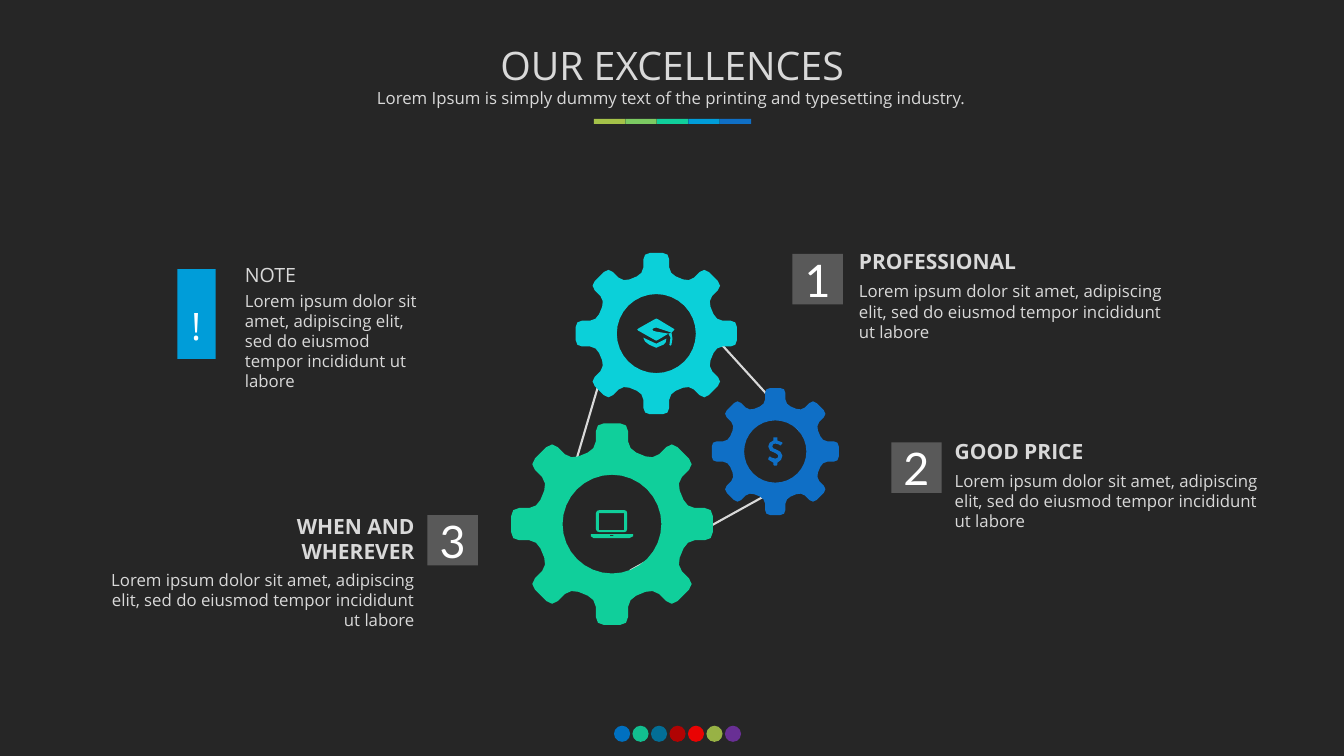
from dataclasses import dataclass
from math import cos, pi, sin

from lxml.etree import SubElement
from pptx import Presentation
from pptx.dml.color import RGBColor
from pptx.enum.shapes import MSO_CONNECTOR, MSO_SHAPE
from pptx.enum.text import MSO_ANCHOR, PP_ALIGN
from pptx.oxml.ns import qn
from pptx.util import Inches, Pt


@dataclass(frozen=True)
class Theme:
    background: RGBColor = RGBColor.from_string("262626")
    text: RGBColor = RGBColor.from_string("D9D9D9")
    white: RGBColor = RGBColor.from_string("FFFFFF")
    tile: RGBColor = RGBColor.from_string("595959")
    cyan: RGBColor = RGBColor.from_string("0BD0D9")
    blue: RGBColor = RGBColor.from_string("0F6FC6")
    green: RGBColor = RGBColor.from_string("10CF9B")
    sky: RGBColor = RGBColor.from_string("009DD9")
    bars: tuple = ("A5C249", "7CCA62", "10CF9B", "009DD9", "0F6FC6")
    dots: tuple = ("0070C0", "10CF9B", "0076A3", "C00000", "FF0000", "A5C249", "7030A0")
    font: str = "Open Sans"
    number_font: str = "Lato"
    title_size: int = 28
    heading_size: int = 15
    note_size: int = 14
    body_size: int = 12
    mark_size: int = 27
    number_size: int = 32


theme = Theme()
deck = Presentation()
deck.slide_width, deck.slide_height = Inches(13.33), Inches(7.5)
page = deck.slides.add_slide(deck.slide_layouts[6])
page.background.fill.solid()
page.background.fill.fore_color.rgb = theme.background


def trace(*steps):
    """Turn points (x, y) and cubic curves (six numbers) into a list of points."""
    points = []
    for step in steps:
        if len(step) == 6:
            x0, y0 = points[-1]
            x1, y1, x2, y2, x3, y3 = step
            points.append(((x0 + 3 * x1 + 3 * x2 + x3) / 8, (y0 + 3 * y1 + 3 * y2 + y3) / 8))
        points.append(step[-2:])
    return points


def add_outline(contours, color):
    """Draw closed contours, given in inches, as one filled freeform."""
    contours = [[(Inches(x), Inches(y)) for x, y in contour] for contour in contours]
    builder = page.shapes.build_freeform(*contours[0][0])
    for i, contour in enumerate(contours):
        if i:
            builder.move_to(*contour[0])
        builder.add_line_segments(contour[1:], close=True)
    shape = builder.convert_to_shape()
    shape.shadow.inherit = False
    shape.fill.solid()
    shape.fill.fore_color.rgb = color
    shape.line.fill.background()


# Palette dots at the foot and bars under the title
strips = [
    (MSO_SHAPE.OVAL, theme.dots, 6.09, 7.2, 1.1 / 6, 0.16, 0.16),
    (MSO_SHAPE.RECTANGLE, theme.bars, 5.89, 1.18, 1.25 / 4, 0.31, 0.05),
]
for kind, colors, left, top, pitch, width, height in strips:
    for i, color in enumerate(colors):
        shape = page.shapes.add_shape(kind, Inches(left + i * pitch), Inches(top),
                                      Inches(width), Inches(height))
        shape.shadow.inherit = False
        shape.fill.solid()
        shape.fill.fore_color.rgb = RGBColor.from_string(color)
        shape.line.fill.background()
        if kind == MSO_SHAPE.OVAL and i > 0:
            SubElement(shape._element.spPr.find(".//" + qn("a:srgbClr")), qn("a:alpha"), val="90000")

# Lines between the gears
for x1, y1, x2, y2 in [(6.76, 2.98, 7.94, 4.28), (7.91, 4.74, 6.25, 5.66),
                       (6.13, 3.16, 5.54, 5.16)]:
    link = page.shapes.add_connector(MSO_CONNECTOR.STRAIGHT, Inches(x1), Inches(y1),
                                     Inches(x2), Inches(y2))
    link.line.color.rgb = theme.text
    link.line.width = Pt(1.5)
    SubElement(link._element.spPr, qn("a:effectLst"))

# Gears: one tooth of a unit gear, turned eight times around a round hole
flank = trace((0.08, -1), (0.13, -1, 0.16, -0.97, 0.16, -0.92), (0.16, -0.82),
              (0.16, -0.77, 0.2, -0.73, 0.24, -0.71))
tooth = [(-x, y) for x, y in reversed(flank)] + flank
rim = [(x * cos(k * pi / 4) - y * sin(k * pi / 4), x * sin(k * pi / 4) + y * cos(k * pi / 4))
       for k in range(8) for x, y in tooth]
hole = [(0.49 * cos(k * pi / 16), -0.49 * sin(k * pi / 16)) for k in range(32)]
gears = [(6.51, 3.31, 0.8, theme.cyan), (7.69, 4.48, 0.63, theme.blue),
         (6.07, 5.2, 1, theme.green)]
for center_x, center_y, radius, color in gears:
    add_outline([[(center_x + radius * x, center_y + radius * y) for x, y in contour]
                 for contour in (rim, hole)], color)

# Icons inside the gears
tassel = [(6.64, 3.42), (6.65, 3.43), (6.66, 3.42), (6.67, 3.36), (6.66, 3.3), (6.63, 3.31),
          (6.65, 3.35)]
board = trace((6.68, 3.26), (6.53, 3.17), (6.51, 3.16), (6.49, 3.17), (6.33, 3.26), (6.32, 3.27),
              (6.33, 3.28), (6.49, 3.37), (6.51, 3.38), (6.53, 3.37), (6.63, 3.31), (6.51, 3.29),
              (6.49, 3.29, 6.47, 3.28, 6.47, 3.27), (6.47, 3.26, 6.49, 3.25, 6.51, 3.25),
              (6.54, 3.26), (6.66, 3.3), (6.68, 3.28), (6.69, 3.27))
cap = trace((6.38, 3.35), (6.39, 3.38, 6.4, 3.4, 6.44, 3.42), (6.48, 3.43, 6.49, 3.45, 6.51, 3.45),
            (6.52, 3.45, 6.54, 3.43, 6.58, 3.42), (6.61, 3.4, 6.6, 3.4, 6.61, 3.36), (6.51, 3.41))
dollar = trace((7.71, 4.59), (7.71, 4.61), (7.7, 4.62), (7.68, 4.62), (7.67, 4.61), (7.67, 4.59),
               (7.62, 4.56), (7.62, 4.55), (7.63, 4.53), (7.64, 4.53),
               (7.64, 4.53, 7.66, 4.55, 7.69, 4.55), (7.71, 4.55, 7.72, 4.54, 7.72, 4.52),
               (7.72, 4.51, 7.7, 4.5, 7.68, 4.49), (7.65, 4.48, 7.62, 4.47, 7.62, 4.43),
               (7.62, 4.4, 7.64, 4.38, 7.67, 4.37), (7.67, 4.34), (7.71, 4.34), (7.71, 4.37),
               (7.76, 4.39), (7.76, 4.4), (7.74, 4.42), (7.74, 4.42, 7.72, 4.4, 7.69, 4.4),
               (7.67, 4.4, 7.66, 4.41, 7.66, 4.43), (7.66, 4.45, 7.68, 4.45, 7.7, 4.46),
               (7.73, 4.47, 7.76, 4.49, 7.76, 4.52), (7.76, 4.55, 7.74, 4.58, 7.71, 4.59))
lid = trace((5.91, 5.25), (5.91, 5.09), (5.91, 5.07, 5.93, 5.06, 5.95, 5.06), (6.19, 5.06),
            (6.21, 5.06, 6.22, 5.07, 6.22, 5.09), (6.22, 5.25),
            (6.22, 5.27, 6.21, 5.28, 6.19, 5.28), (5.95, 5.28), (5.93, 5.28, 5.91, 5.27, 5.91, 5.25))
screen = [(5.94, 5.09), (5.94, 5.26), (6.19, 5.26), (6.19, 5.09)]
base = [(6.28, 5.3), (6.28, 5.32), (6.24, 5.34), (5.89, 5.34), (5.86, 5.32), (5.86, 5.3)]
notch = [(6.05, 5.31), (6.05, 5.32), (6.08, 5.32), (6.09, 5.31)]
for contours, color in [((tassel, board, cap), theme.cyan), ((dollar,), theme.blue),
                        ((lid, screen, base, notch), theme.green)]:
    add_outline(contours, color)

# Note marker and number tiles
tiles = [(1.76, 2.67, 0.38, 0.89, theme.sky, ""), (7.86, 2.52, 0.5, 0.5, theme.tile, "1"),
         (8.84, 4.39, 0.5, 0.5, theme.tile, "2"), (4.24, 5.11, 0.5, 0.5, theme.tile, "3")]
for left, top, width, height, color, number in tiles:
    tile = page.shapes.add_shape(MSO_SHAPE.RECTANGLE, Inches(left), Inches(top),
                                 Inches(width), Inches(height))
    tile.shadow.inherit = False
    tile.fill.solid()
    tile.fill.fore_color.rgb = color
    tile.line.fill.background()
    if number:
        frame = tile.text_frame
        frame.margin_left = frame.margin_right = frame.margin_top = frame.margin_bottom = 0
        frame.vertical_anchor = MSO_ANCHOR.MIDDLE
        para = frame.paragraphs[0]
        para.text = number
        para.alignment = PP_ALIGN.CENTER
        para.font.name = theme.number_font
        para.font.size = Pt(theme.number_size)
        para.font.color.rgb = theme.white

# Texts
lorem = "Lorem ipsum dolor sit amet, adipiscing elit, sed do eiusmod tempor incididunt ut labore"
subtitle = "Lorem Ipsum is simply dummy text of the printing and typesetting industry."
left_side, center, right_side = PP_ALIGN.LEFT, PP_ALIGN.CENTER, PP_ALIGN.RIGHT
texts = [
    (2.71, 0.4, 7.91, 0.49, "OUR EXCELLENCES", theme.title_size, center),
    (3.29, 0.82, 6.74, 0.3, subtitle, theme.body_size, center),
    (8.42, 2.42, 2.42, 0.32, "PROFESSIONAL", theme.heading_size, left_side),
    (8.42, 2.74, 3.25, 0.89, lorem, theme.body_size, left_side),
    (9.37, 4.3, 2.42, 0.32, "GOOD PRICE", theme.heading_size, left_side),
    (9.37, 4.62, 3.25, 0.89, lorem, theme.body_size, left_side),
    (1.79, 5.04, 2.42, 0.32, "WHEN AND WHEREVER", theme.heading_size, right_side),
    (0.96, 5.6, 3.25, 0.89, lorem, theme.body_size, right_side),
    (2.33, 2.56, 2.42, 0.32, "NOTE", theme.note_size, left_side),
    (2.33, 2.83, 1.92, 1.08, lorem, theme.body_size, left_side),
    (1.66, 2.82, 0.57, 0.59, "!", theme.mark_size, center),
]
for left, top, width, height, text, size, alignment in texts:
    box = page.shapes.add_textbox(Inches(left), Inches(top), Inches(width), Inches(height))
    box.text_frame.word_wrap = True
    para = box.text_frame.paragraphs[0]
    para.text = text
    para.alignment = alignment
    para.font.name = theme.font
    para.font.size = Pt(size)
    para.font.bold = size == theme.heading_size
    para.font.color.rgb = theme.white if text == "!" else theme.text
    if size in (theme.title_size, theme.mark_size):
        box.text_frame.vertical_anchor = MSO_ANCHOR.MIDDLE
    if text == "!":
        para.line_spacing = Pt(48)

deck.save("out.pptx")
